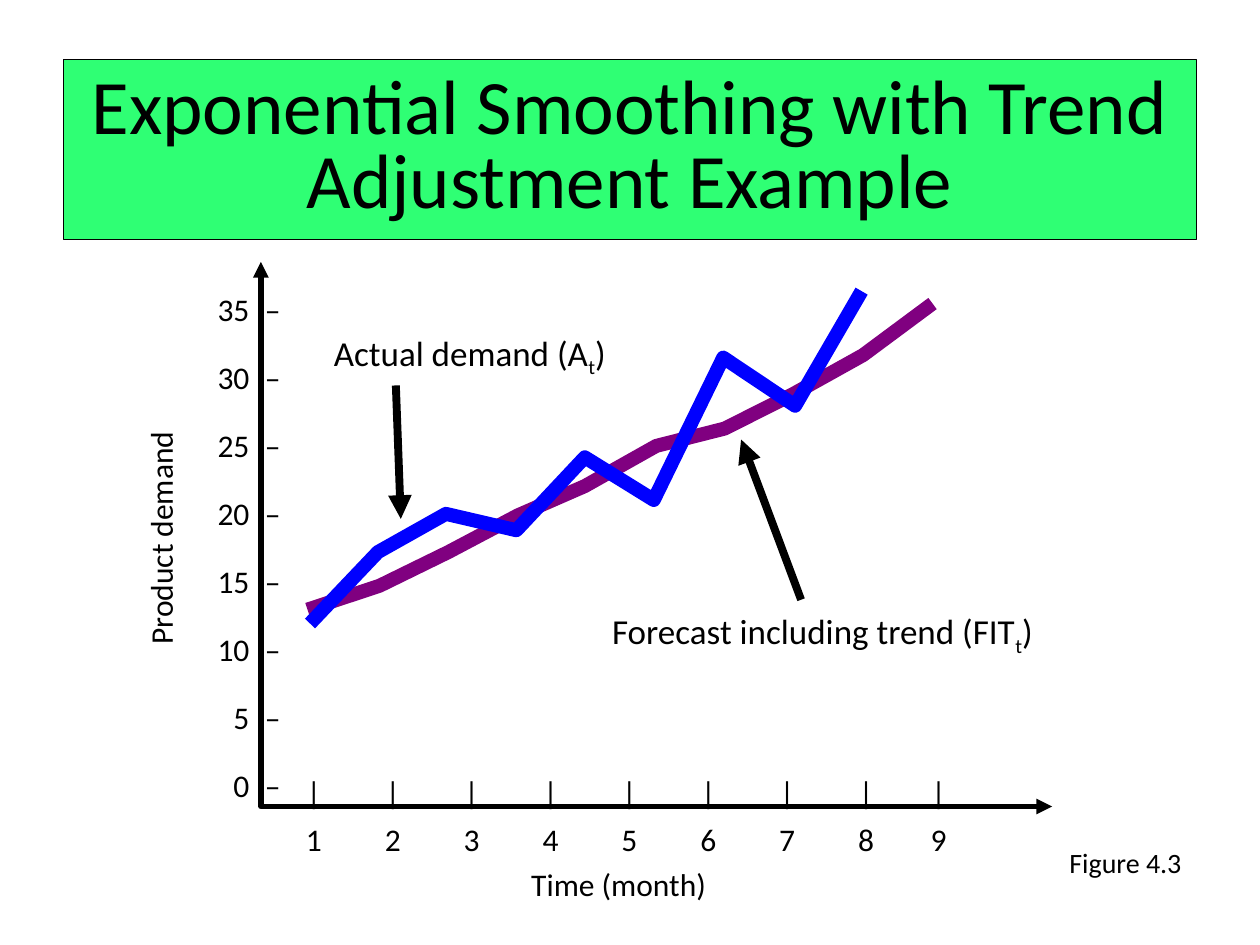
from dataclasses import dataclass
from pptx import Presentation
from pptx.dml.color import RGBColor
from pptx.enum.shapes import MSO_CONNECTOR, MSO_SHAPE
from pptx.enum.text import MSO_ANCHOR, PP_ALIGN
from pptx.oxml.ns import qn
from pptx.util import Cm, Pt
from lxml import etree

RECT = MSO_SHAPE.RECTANGLE
STRAIGHT = MSO_CONNECTOR.STRAIGHT
CENTER = PP_ALIGN.CENTER
MIDDLE = MSO_ANCHOR.MIDDLE
FONT = "Calibri"
COLORS = {
    "ink": "000000",
    "title": "2FFF74",
    "forecast": "800080",
    "actual": "0000FF",
}

Point = tuple[float, float]
Tab = tuple[float, str]


@dataclass
class Label:
    box: tuple[float, float, float, float]
    lines: list[str]
    size: int = 18
    spacing: float = 1.0
    tabs: tuple[Tab, ...] = ()
    rotation: int = 0


@dataclass
class Curve:
    points: list[Point]
    color: str
    width: float
    arrows: bool = False


@dataclass
class Callout:
    box: tuple[float, float, float, float]
    stem: str
    start: Point
    end: Point


def rgb(name: str) -> RGBColor:
    return RGBColor.from_string(COLORS[name])


def format_font(font, size: int) -> None:
    font.name = FONT
    font.size = Pt(size)
    font.color.rgb = rgb("ink")


def style_line(sp, color: str, width: float, ends: tuple[str, ...] = ()) -> None:
    sp.line.color.rgb = rgb(color)
    sp.line.width = Pt(width)
    ln = sp._element.spPr.find(qn("a:ln"))
    etree.SubElement(ln, qn("a:round"))
    for end in ends:
        etree.SubElement(ln, qn(f"a:{end}"), type="triangle")


def add_title(s, text: str) -> None:
    sp = s.shapes.add_shape(RECT, Cm(1.28), Cm(1.2), Cm(22.84), Cm(3.63))
    sp.shadow.inherit = False
    sp.fill.solid()
    sp.fill.fore_color.rgb = rgb("title")
    sp.line.color.rgb = rgb("ink")
    sp.line.width = Pt(0.75)
    tf = sp.text_frame
    tf.text = text
    tf.word_wrap = True
    tf.vertical_anchor = MIDDLE
    p = tf.paragraphs[0]
    p.alignment = CENTER
    p.line_spacing = 0.8
    format_font(p.runs[0].font, 44)


def add_label(s, label: Label):
    sp = s.shapes.add_textbox(*(Cm(v) for v in label.box))
    sp.rotation = label.rotation
    tf = sp.text_frame
    tf.word_wrap = True
    tf.text = "\n".join(label.lines)
    for p in tf.paragraphs:
        if label.tabs:
            tab_list = etree.SubElement(p._p.get_or_add_pPr(), qn("a:tabLst"))
            for pos, align in label.tabs:
                etree.SubElement(tab_list, qn("a:tab"), pos=str(Cm(pos)), algn=align)
        p.line_spacing = label.spacing
        for r in p.runs:
            format_font(r.font, label.size)
    return sp


def add_curve(s, curve: Curve) -> None:
    points = [(Cm(x), Cm(y)) for x, y in curve.points]
    builder = s.shapes.build_freeform(*points[0])
    builder.add_line_segments(points[1:], close=False)
    sp = builder.convert_to_shape()
    sp.shadow.inherit = False
    sp.fill.background()
    style_line(sp, curve.color, curve.width, ("headEnd", "tailEnd") if curve.arrows else ())


def add_callout(s, callout: Callout) -> None:
    sp = add_label(s, Label(callout.box, [callout.stem], 20))
    p = sp.text_frame.paragraphs[0]
    for text in ("t", ")"):
        r = p.add_run()
        r.text = text
        format_font(r.font, 20)
    p.runs[1].font._element.set("baseline", "-25000")
    (x1, y1), (x2, y2) = callout.start, callout.end
    arrow = s.shapes.add_connector(STRAIGHT, Cm(x1), Cm(y1), Cm(x2), Cm(y2))
    style_line(arrow, "ink", 4.5, ("tailEnd",))
    etree.SubElement(arrow._element.spPr, qn("a:effectLst"))


MONTHS = range(1, 10)
MONTH_TABS = tuple((round(0.8 + 1.59 * i, 2), "ctr") for i in range(8)) + ((13.39, "ctr"),)

LABELS = [
    Label((21.31, 16.92, 3.18, 0.94), ["Figure 4.3"], 16),
    Label(
        (5.28, 15.27, 15, 2.16),
        ["\t|" * len(MONTHS), "".join(f"\t{month}" for month in MONTHS)],
        spacing=1.25,
        tabs=MONTH_TABS,
    ),
    Label((10.46, 17.32, 4.52, 1.02), ["Time (month)"]),
    Label((0.48, 9.98, 5.51, 1.02), ["Product demand"], rotation=270),
    Label(
        (3.99, 5.11, 2.1, 11.23),
        [f"\t{value}\t–" for value in range(35, -1, -5)],
        spacing=1.8,
        tabs=((0.79, "r"), (1.1, "l")),
    ),
]

CURVES = [
    Curve([(5.26, 5.28), (5.26, 16.26), (21.21, 16.26)], "ink", 3, arrows=True),
    Curve(
        [(6.2, 12.29), (7.65, 11.81), (9.04, 11.13), (10.44, 10.39), (11.79, 9.8),
         (13.23, 8.99), (14.61, 8.64), (15.98, 7.95), (17.4, 7.16), (18.8, 6.12)],
        "forecast", 8,
    ),
    Curve(
        [(6.25, 12.57), (7.62, 11.13), (8.99, 10.36), (10.41, 10.69), (11.79, 9.22),
         (13.18, 10.08), (14.58, 7.21), (16.03, 8.18), (17.37, 5.87)],
        "actual", 8,
    ),
]

CALLOUTS = [
    Callout((6.48, 6.55, 6.91, 1.09), "Actual demand (A", (7.98, 7.77), (8.08, 10.46)),
    Callout((12.09, 12.17, 10.62, 1.09), "Forecast including trend (FIT",
            (16.15, 12.09), (14.94, 8.86)),
]


def main() -> None:
    prs = Presentation()
    prs.slide_width, prs.slide_height = Cm(25.4), Cm(19.05)
    s = prs.slides.add_slide(prs.slide_layouts[6])
    add_title(s, "Exponential Smoothing with Trend Adjustment Example")
    for label in LABELS:
        add_label(s, label)
    for curve in CURVES:
        add_curve(s, curve)
    for callout in CALLOUTS:
        add_callout(s, callout)
    prs.save("out.pptx")


if __name__ == "__main__":
    main()
